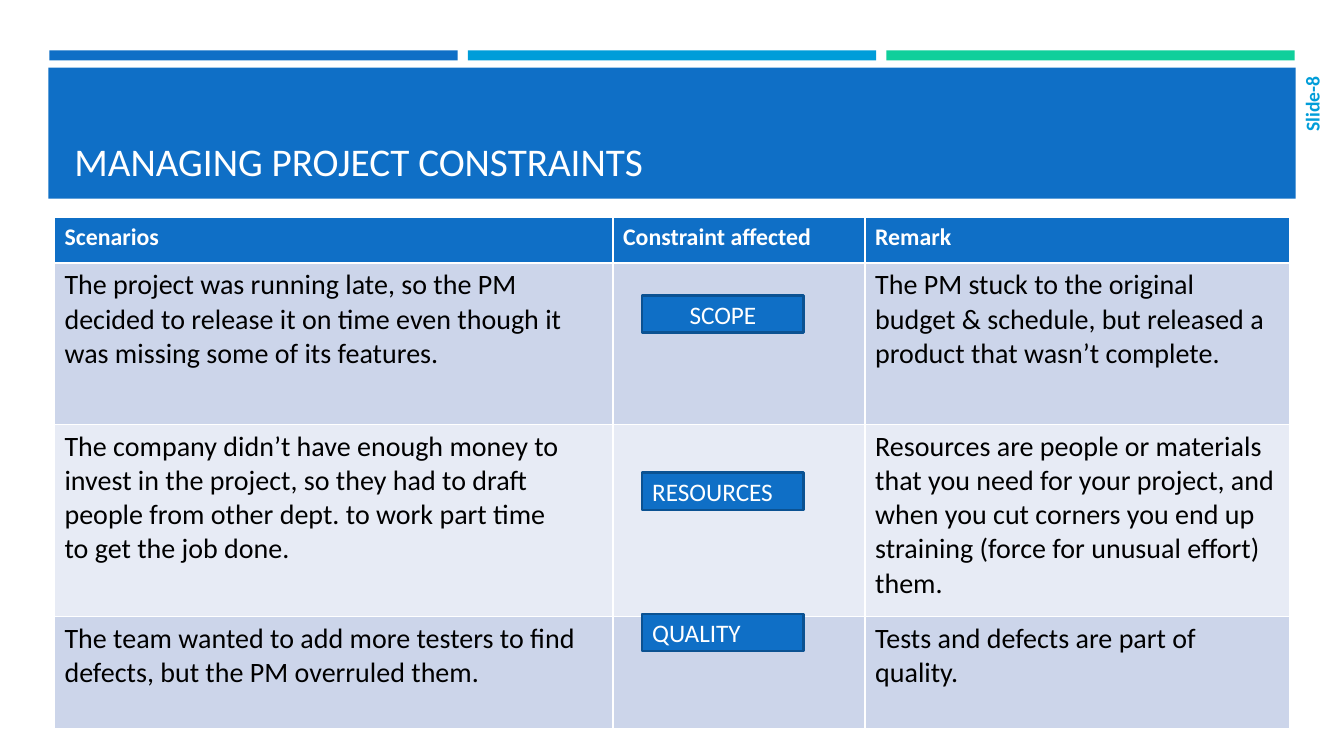
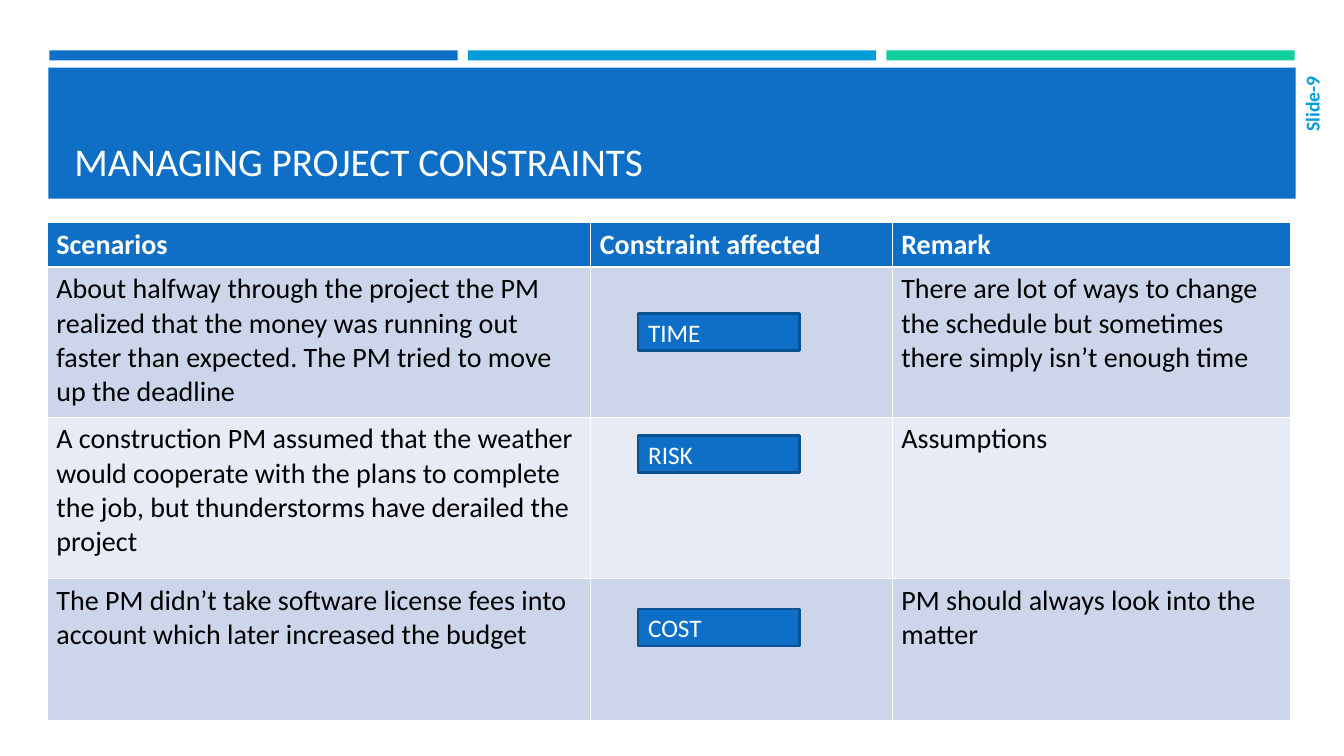
from pptx import Presentation
from pptx.dml.color import RGBColor
from pptx.enum.shapes import MSO_SHAPE
from pptx.enum.text import MSO_ANCHOR, PP_ALIGN
from pptx.util import Inches, Pt

HEX = {
    "blue": "0F6FC6", "sky": "009DD9", "green": "10CF9B", "edge": "0B5292",
    "odd": "CCD5EA", "even": "E7EBF5", "white": "FFFFFF", "black": "000000",
}
FONT = "Calibri"
HEADS = ["Scenarios", "Constraint affected", "Remark"]


class Deck:
    def __init__(self):
        self.file = Presentation()
        self.file.slide_width = Inches(13.33)
        self.file.slide_height = Inches(7.5)
        self.slide = None

    def color(self, name):
        return RGBColor.from_string(HEX[name])

    def put(self, frame, text, size, color, bold=False, align=PP_ALIGN.LEFT):
        frame.word_wrap = True
        line = frame.paragraphs[0]
        line.text = text
        line.alignment = align
        font = line.font
        font.name, font.size, font.bold = FONT, Pt(size), bold
        font.color.rgb = self.color(color)

    def rect(self, box, fill, edge=None):
        shape = self.slide.shapes.add_shape(MSO_SHAPE.RECTANGLE, *map(Inches, box))
        shape.shadow.inherit = False
        shape.fill.solid()
        shape.fill.fore_color.rgb = self.color(fill)
        if edge:
            shape.line.color.rgb = self.color(edge)
            shape.line.width = Pt(1.75)
        else:
            shape.line.fill.background()
        return shape

    def label(self, box, text, size, color, anchor, **style):
        shape = self.slide.shapes.add_textbox(*map(Inches, box))
        self.put(shape.text_frame, text, size, color, **style)
        shape.text_frame.vertical_anchor = anchor
        return shape

    def page(self, title, number):
        self.slide = self.file.slides.add_slide(self.file.slide_layouts[6])
        # Top bars and title band
        for i, fill in enumerate(["blue", "sky", "green"]):
            self.rect((0.49 + i * 4.15, 0.5, 4.05, 0.1), fill)
        self.rect((0.48, 0.67, 12.37, 1.3), "blue")
        self.label((0.64, 0.77, 12.06, 1.11), title, 28, "white", MSO_ANCHOR.BOTTOM)
        # Sideways slide number
        side = self.label((12.87, 0.66, 0.28, 1.12), f"Slide-{number}", 14, "sky",
                          MSO_ANCHOR.MIDDLE, bold=True, align=PP_ALIGN.RIGHT)
        side.element.txBody.bodyPr.set("vert", "vert270")

    def table(self, left, top, cols, rows, data, head, inset):
        grid = self.slide.shapes.add_table(
            len(rows), len(cols), Inches(left), Inches(top),
            Inches(sum(cols)), Inches(sum(rows))).table
        for col, width in zip(grid.columns, cols):
            col.width = Inches(width)
        for row, height in zip(grid.rows, rows):
            row.height = Inches(height)
        for r, texts in enumerate([HEADS] + data):
            fill = "blue" if r == 0 else "odd" if r % 2 else "even"
            for c, text in enumerate(texts):
                cell = grid.cell(r, c)
                cell.margin_left = cell.margin_right = Inches(inset)
                cell.fill.solid()
                cell.fill.fore_color.rgb = self.color(fill)
                if r == 0:
                    self.put(cell.text_frame, text, head, "white", bold=True)
                elif text:
                    self.put(cell.text_frame, text, 20, "black")

    def tag(self, left, top, text, align=PP_ALIGN.LEFT):
        shape = self.rect((left, top, 1.6, 0.37), "blue", "edge")
        self.put(shape.text_frame, text, 18, "white", align=align)
        shape.text_frame.vertical_anchor = MSO_ANCHOR.MIDDLE


def main():
    deck = Deck()
    title = "MANAGING PROJECT CONSTRAINTS"

    # Scope, resources and quality
    deck.page(title, 8)
    deck.table(0.54, 2.16, [5.54, 2.5, 4.21], [0.45, 1.6, 1.91, 1.11], [
        ["The project was running late, so the PM decided to release it on time "
         "even though it was missing some of its features.", "",
         "The PM stuck to the original budget & schedule, but released a product "
         "that wasn’t complete."],
        ["The company didn’t have enough money to invest in the project, so they "
         "had to draft people from other dept. to work part time\n"
         "to get the job done.", "",
         "Resources are people or materials that you need for your project, and "
         "when you cut corners you end up straining (force for unusual effort) them."],
        ["The team wanted to add more testers to find defects, but the PM "
         "overruled them.", "",
         "Tests and defects are part of quality."],
    ], head=17, inset=0.1)
    deck.tag(6.37, 2.93, "SCOPE", PP_ALIGN.CENTER)
    deck.tag(6.37, 4.69, "RESOURCES")
    deck.tag(6.37, 6.09, "QUALITY")

    # Time, risk and cost
    deck.page(title, 9)
    deck.table(0.47, 2.21, [5.39, 2.99, 3.95], [0.44, 1.49, 1.6, 1.41], [
        ["About halfway through the project the PM realized that the money was "
         "running out faster than expected. The PM tried to move up the deadline", "",
         "There are lot of ways to change the schedule but sometimes there simply "
         "isn’t enough time"],
        ["A construction PM assumed that the weather would cooperate with the "
         "plans to complete the job, but thunderstorms have derailed the project", "",
         "Assumptions"],
        ["The PM didn’t take software license fees into account which later "
         "increased the budget", "",
         "PM should always look into the matter"],
    ], head=20, inset=0.09)
    for top, text in [(3.11, "TIME"), (4.32, "RISK"), (6.04, "COST")]:
        deck.tag(6.33, top, text)

    deck.file.save("out.pptx")


if __name__ == "__main__":
    main()
